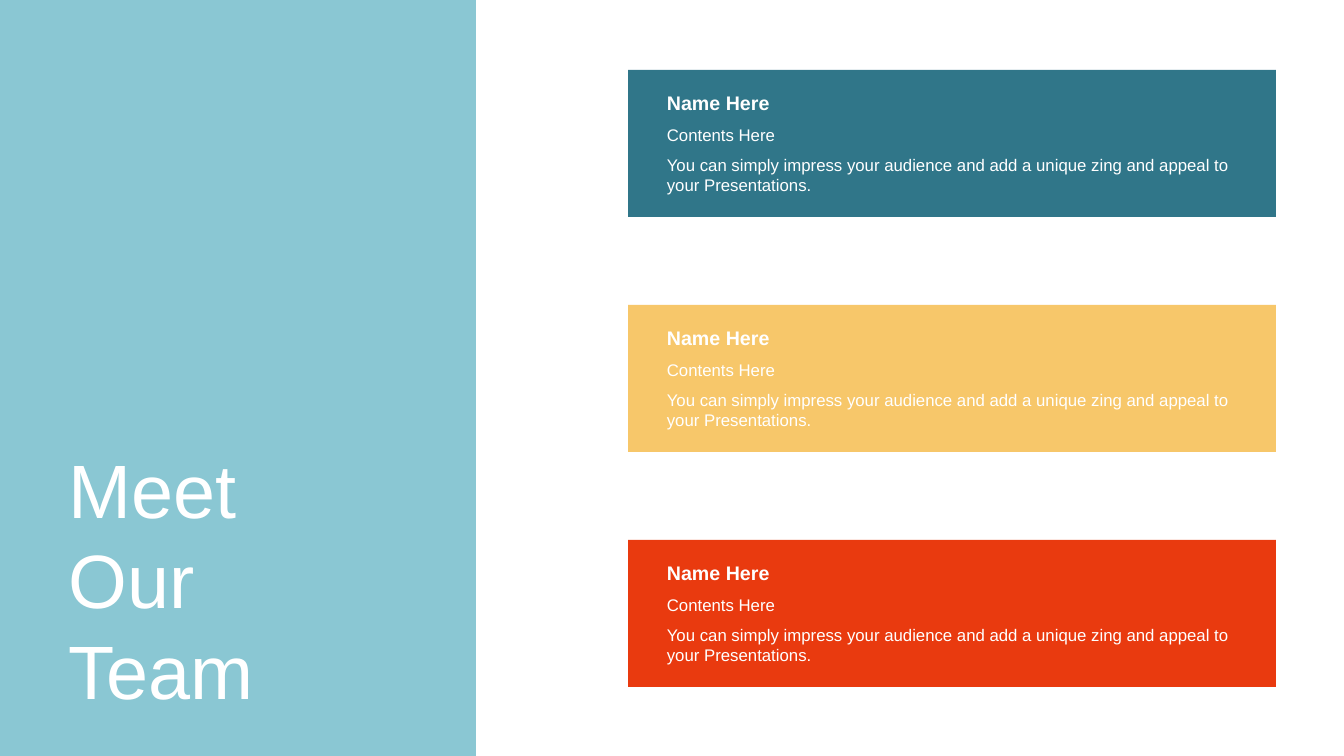
from pptx import Presentation
from pptx.dml.color import RGBColor
from pptx.enum.shapes import MSO_SHAPE
from pptx.enum.text import MSO_ANCHOR
from pptx.util import Emu, Pt

COLORS = {
    "panel": "8AC7D3",
    "teal": "307689",
    "yellow": "F7C76A",
    "red": "E93A0F",
    "text": "FFFFFF",
}
TITLE = ["Meet", "Our", "Team"]
MESSAGE = "You can simply impress your audience and add a unique zing and appeal to your Presentations."
MEMBERS = [
    ("teal", "Name Here", "Contents Here", MESSAGE),
    ("yellow", "Name Here", "Contents Here", MESSAGE),
    ("red", "Name Here", "Contents Here", MESSAGE),
]
LINE_STYLES = [(16, 34, 14, True), (50, 30, 12, False), (80, 50, 12, False)]

SLIDE_WIDTH, SLIDE_HEIGHT = 1344, 756
PANEL_WIDTH = 476
CARD_LEFT, CARD_TOP, CARD_WIDTH, CARD_HEIGHT = 628, 70, 648, 147
CARD_PITCH = 235
TEXT_LEFT, TEXT_WIDTH = 657, 591


def px(length):
    return Emu(round(length * 914400 / 100.8))


def add_block(page, left, top, width, height, color):
    block = page.shapes.add_shape(MSO_SHAPE.RECTANGLE, px(left), px(top), px(width), px(height))
    block.shadow.inherit = False
    block.fill.solid()
    block.fill.fore_color.rgb = RGBColor.from_string(COLORS[color])
    block.line.fill.background()


def add_text(page, left, top, width, height, text, size, bold=False, anchor=MSO_ANCHOR.TOP):
    box = page.shapes.add_textbox(px(left), px(top), px(width), px(height))
    frame = box.text_frame
    frame.word_wrap = True
    frame.vertical_anchor = anchor
    frame.text = text
    for para in frame.paragraphs:
        for span in para.runs:
            span.font.name = "Arial"
            span.font.size = Pt(size)
            span.font.bold = bold
            span.font.color.rgb = RGBColor.from_string(COLORS["text"])


def main():
    deck = Presentation()
    deck.slide_width, deck.slide_height = px(SLIDE_WIDTH), px(SLIDE_HEIGHT)
    page = deck.slides.add_slide(deck.slide_layouts[6])

    add_block(page, 0, 0, PANEL_WIDTH, SLIDE_HEIGHT, "panel")
    for index, (color, *lines) in enumerate(MEMBERS):
        card_top = CARD_TOP + index * CARD_PITCH
        add_block(page, CARD_LEFT, card_top, CARD_WIDTH, CARD_HEIGHT, color)
        for text, (offset, height, size, bold) in zip(lines, LINE_STYLES):
            add_text(page, TEXT_LEFT, card_top + offset, TEXT_WIDTH, height, text, size, bold)
    add_text(page, 59, 436, 248, 285, "\n".join(TITLE), 54, anchor=MSO_ANCHOR.MIDDLE)

    deck.save("out.pptx")


if __name__ == "__main__":
    main()
